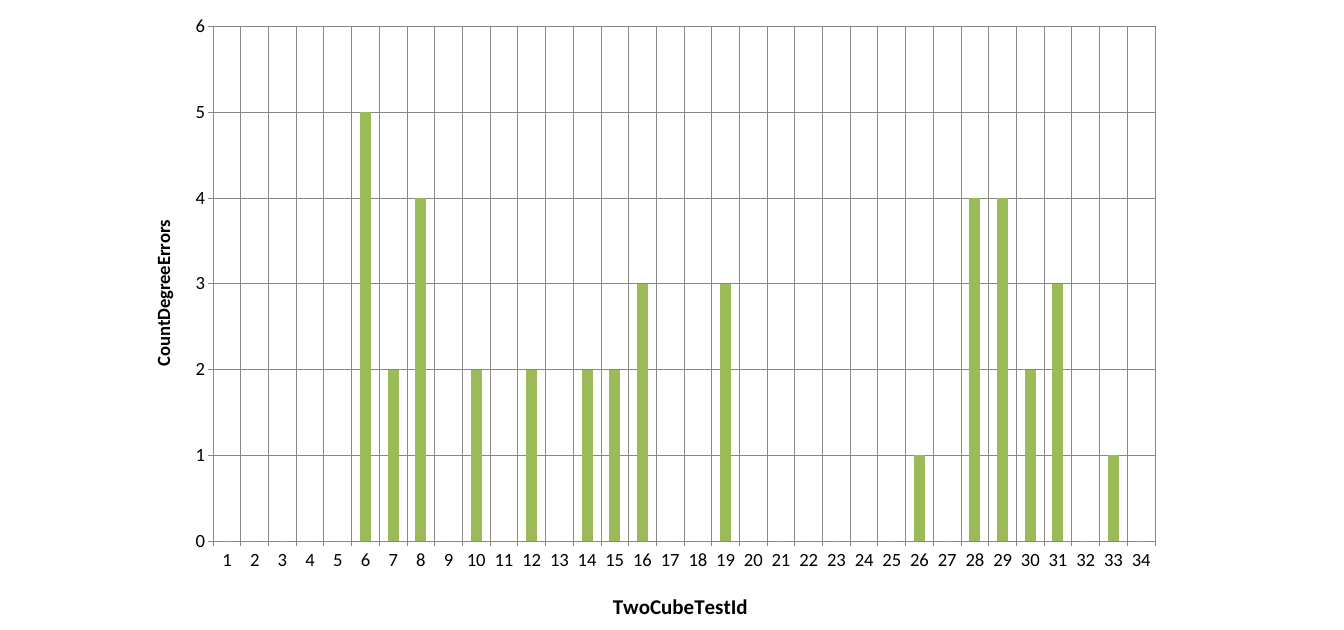
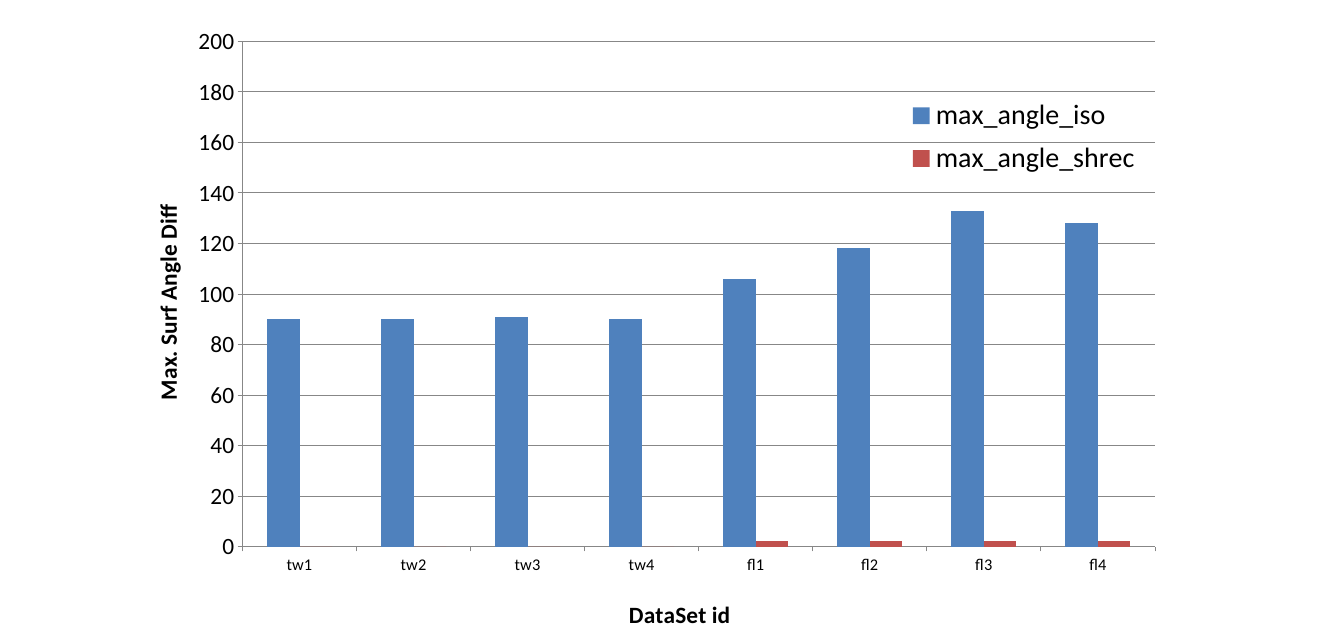
from pptx import Presentation
from pptx.chart.data import CategoryChartData
from pptx.dml.color import RGBColor
from pptx.enum.chart import XL_CHART_TYPE, XL_LEGEND_POSITION, XL_TICK_MARK
from pptx.oxml import parse_xml
from pptx.oxml.ns import nsdecls
from pptx.util import Inches, Pt

COLUMNS = XL_CHART_TYPE.COLUMN_CLUSTERED
RIGHT = XL_LEGEND_POSITION.RIGHT
OUTSIDE, NO_TICK = XL_TICK_MARK.OUTSIDE, XL_TICK_MARK.NONE

FONT = "Calibri"
BLACK, GRAY, BLUE, RED, GREEN = "000000", "878787", "4F81BD", "C0504D", "9BBB59"


def style_font(font, size, bold=False):
    values = {"name": FONT, "size": Pt(size), "bold": bold}
    for name, value in values.items():
        setattr(font, name, value)
    font.color.rgb = RGBColor.from_string(BLACK)


def place(element, index, **fractions):
    """Fix a chart part at fractions of the chart's width and height."""
    for old in element.xpath("c:layout"):
        element.remove(old)
    target = '<c:layoutTarget val="inner"/>' if index == 0 else ""
    modes = '<c:xMode val="edge"/><c:yMode val="edge"/>'
    sizes = "".join(f'<c:{key} val="{value}"/>' for key, value in fractions.items())
    element.insert(index, parse_xml(
        f'<c:layout {nsdecls("c")}><c:manualLayout>{target}{modes}{sizes}'
        '</c:manualLayout></c:layout>'))


# Degree errors by test: only the tests with errors are listed
degree_errors = {6: 5, 7: 2, 8: 4, 10: 2, 12: 2, 14: 2, 15: 2, 16: 3, 19: 3,
                 26: 1, 28: 4, 29: 4, 30: 2, 31: 3, 33: 1}
tests = range(1, 35)

# Axis entries: title, title size, label size, gridlines, title position
charts = [
    {
        "top": 0.03, "maximum": 6, "step": 1, "legend": False,
        "categories": [str(test) for test in tests],
        "series": [("Series 1", [degree_errors.get(test, 0) for test in tests], GREEN)],
        "category": ("TwoCubeTestId", 18, 16, True, {"x": 0.46, "y": 0.93}),
        "value": ("CountDegreeErrors", 16, 16, True, {"x": 0.02, "y": 0.34}),
        "plot": {"x": 0.083, "y": 0.038, "w": 0.897, "h": 0.817},
    },
    {
        "top": 0.17, "maximum": 200, "step": 20, "legend": True,
        "categories": [f"{kind}{number}" for kind in ("tw", "fl") for number in range(1, 5)],
        "series": [("max_angle_iso", [90, 90, 91, 90, 106, 118, 133, 128], BLUE),
                   ("max_angle_shrec", [0, 0, 0, 0, 2, 2, 2, 2], RED)],
        "category": ("DataSet id", 20, 14, False, {"x": 0.475, "y": 0.92}),
        "value": ("Max. Surf Angle Diff", 20, 20, True, {"x": 0.02, "y": 0.295}),
        "plot": {"x": 0.111, "y": 0.043, "w": 0.869, "h": 0.802},
    },
]

deck = Presentation()
deck.slide_width, deck.slide_height = Inches(16), Inches(7.5)

for facts in charts:
    page = deck.slides.add_slide(deck.slide_layouts[6])

    # Chart and series
    data = CategoryChartData()
    data.categories = facts["categories"]
    for name, values, color in facts["series"]:
        data.add_series(name, values)
    chart = page.shapes.add_chart(
        COLUMNS, Inches(1.5), Inches(facts["top"]), Inches(12.5), Inches(7.5), data).chart
    chart.has_title = False
    style_font(chart.font, 10)
    plot = chart.plots[0]
    plot.vary_by_categories = False
    plot.gap_width = 150
    for series, (name, values, color) in zip(plot.series, facts["series"]):
        series.format.fill.solid()
        series.format.fill.fore_color.rgb = RGBColor.from_string(color)
    place(chart._chartSpace.xpath("c:chart/c:plotArea")[0], 0, **facts["plot"])

    # Axes
    chart.value_axis.minimum_scale = 0
    chart.value_axis.maximum_scale = facts["maximum"]
    chart.value_axis.major_unit = facts["step"]
    for axis, key in ((chart.category_axis, "category"), (chart.value_axis, "value")):
        title, title_size, label_size, gridlines, position = facts[key]
        axis.major_tick_mark, axis.minor_tick_mark = OUTSIDE, NO_TICK
        axis.has_major_gridlines = gridlines
        lines = [axis.format.line]
        if gridlines:
            lines.append(axis.major_gridlines.format.line)
        for line in lines:
            line.color.rgb = RGBColor.from_string(GRAY)
            line.width = Pt(0.75)
        style_font(axis.tick_labels.font, label_size)
        span = axis.axis_title.text_frame.paragraphs[0].add_run()
        span.text = title
        style_font(span.font, title_size, bold=True)
        place(axis.axis_title._element, 1, **position)

    # Legend over the plot
    chart.has_legend = facts["legend"]
    if facts["legend"]:
        chart.legend.position = RIGHT
        chart.legend.include_in_layout = True
        style_font(chart.legend.font, 24)
        place(chart.legend._element, 1, x=0.74, y=0.12, w=0.23, h=0.15)

deck.save("out.pptx")
